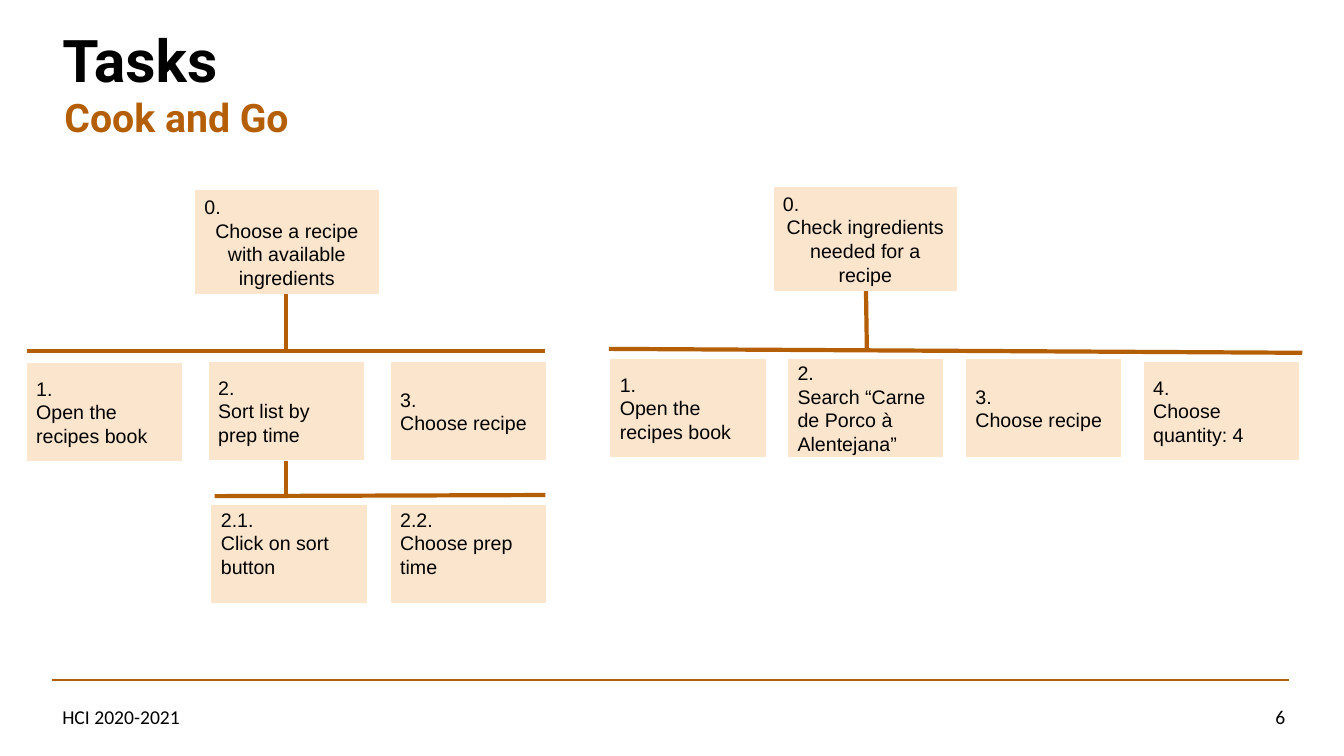
from dataclasses import dataclass

from lxml.etree import SubElement
from pptx import Presentation
from pptx.dml.color import RGBColor
from pptx.enum.shapes import MSO_CONNECTOR, MSO_SHAPE
from pptx.enum.text import MSO_ANCHOR, PP_ALIGN
from pptx.oxml.ns import qn
from pptx.util import Pt

TITLE, SUBTITLE = "Tasks", "Cook and Go"
FOOTER, PAGE = "HCI 2020-2021", "6"

# Roots: left, top, number, lines of the goal
ROOTS = [
    (139, 135.4, "0.", ["Choose a recipe with available", "ingredients"]),
    (552.2, 133.2, "0.", ["Check ingredients needed for a recipe"]),
]
# Rows of steps: left, pitch, steps as (top, number, action)
STEP_ROWS = [
    (18.7, 130, [
        (259.2, "1.", "Open the recipes book"),
        (258.4, "2.", "Sort list by prep time"),
        (258.4, "3.", "Choose recipe"),
    ]),
    (435.6, 127, [
        (256.3, "1.", "Open the recipes book"),
        (256.3, "2.", "Search “Carne de Porco à Alentejana”"),
        (256.3, "3.", "Choose recipe"),
        (258.4, "4.", "Choose quantity: 4"),
    ]),
]
SUBSTEPS = (150.7, 128, [
    (360.7, "2.1.", "Click on sort button"),
    (360.7, "2.2.", "Choose prep time"),
])
# Branches: x1, y1, x2, y2
BRANCHES = [
    (204.5, 329, 204.5, 355),
    (153.4, 354.4, 389.5, 353.6),
    (19.4, 250.6, 389.5, 250.6),
    (204.5, 210.2, 204.5, 250.6),
    (618.6, 208, 619.2, 250),
    (434.9, 249.2, 930.2, 252),
]
ROOT_SIZE, STEP_SIZE = (131.8, 74.9), (111.6, 70.4)


@dataclass(frozen=True)
class Theme:
    accent: RGBColor = RGBColor(0xB4, 0x5F, 0x06)
    box: RGBColor = RGBColor(0xFC, 0xE5, 0xCD)
    ink: RGBColor = RGBColor(0, 0, 0)
    paper: RGBColor = RGBColor(0xFF, 0xFF, 0xFF)
    heading: str = "Roboto"
    body: str = "Arial"
    small: str = "Calibri"
    title_size: int = 42
    subtitle_size: int = 28
    text_size: int = 14


THEME = Theme()


def set_font(paragraph, name, size, color, bold=False):
    font = paragraph.font
    font.name, font.size, font.bold = name, Pt(size), bold
    font.color.rgb = color


def set_insets(frame, left, top, right, bottom):
    frame.margin_left, frame.margin_top = Pt(left), Pt(top)
    frame.margin_right, frame.margin_bottom = Pt(right), Pt(bottom)


def add_label(slide, area, text, font, insets=(7.2, 3.6, 7.2, 3.6),
              anchor=MSO_ANCHOR.TOP, align=PP_ALIGN.LEFT):
    """Add a one-line text box and return its paragraph."""
    frame = slide.shapes.add_textbox(*map(Pt, area)).text_frame
    frame.word_wrap = True
    frame.vertical_anchor = anchor
    set_insets(frame, *insets)
    line = frame.paragraphs[0]
    line.text, line.alignment = text, align
    set_font(line, *font)
    return line


def add_task(slide, area, number, action, align=PP_ALIGN.LEFT,
             anchor=MSO_ANCHOR.MIDDLE, top_inset=7.2):
    """Add a task box: its number, then the lines of its action."""
    task = slide.shapes.add_shape(MSO_SHAPE.RECTANGLE, *map(Pt, area))
    task.shadow.inherit = False
    task.fill.solid()
    task.fill.fore_color.rgb = THEME.box
    task.line.color.rgb = THEME.paper
    task.line.width = Pt(0.75)
    frame = task.text_frame
    frame.word_wrap = True
    frame.vertical_anchor = anchor
    set_insets(frame, 7.2, top_inset, 7.2, 7.2)
    frame.text = "\n".join([number, *action])
    for index, line in enumerate(frame.paragraphs):
        line.alignment = align if index else PP_ALIGN.LEFT
        set_font(line, THEME.body, THEME.text_size, THEME.ink)


def add_steps(slide, row, **layout):
    left, pitch, steps = row
    for column, (top, number, action) in enumerate(steps):
        area = (left + column * pitch, top, *STEP_SIZE)
        add_task(slide, area, number, [action], **layout)


def add_rule(slide, ends, width):
    rule = slide.shapes.add_connector(MSO_CONNECTOR.STRAIGHT, *map(Pt, ends))
    rule.line.color.rgb = THEME.accent
    rule.line.width = Pt(width)
    SubElement(rule._element.spPr, qn("a:effectLst"))


def main():
    deck = Presentation()
    deck.slide_width, deck.slide_height = Pt(960), Pt(540)
    slide = deck.slides.add_slide(deck.slide_layouts[6])

    title = add_label(
        slide, (37.4, 26.6, 884.2, 43.2), TITLE,
        (THEME.heading, THEME.title_size, THEME.ink, True),
        anchor=MSO_ANCHOR.BOTTOM)
    title.line_spacing = 0.7
    add_label(slide, (46.1, 67, 876.2, 33.8), SUBTITLE,
              (THEME.heading, THEME.subtitle_size, THEME.accent, True),
              insets=(0, 0, 0, 0))
    small = (THEME.small, THEME.text_size, THEME.ink)
    add_label(slide, (37.4, 499.7, 260.6, 24.5), FOOTER, small)
    add_label(slide, (867.6, 499.7, 57.6, 24.5), PAGE, small,
              align=PP_ALIGN.RIGHT)
    add_rule(slide, (37.4, 486, 920.9, 486), 1.5)

    for left, top, number, goal in ROOTS:
        add_task(slide, (left, top, *ROOT_SIZE), number, goal,
                 align=PP_ALIGN.CENTER)
    for row in STEP_ROWS:
        add_steps(slide, row)
    add_steps(slide, SUBSTEPS, anchor=MSO_ANCHOR.TOP, top_inset=2)
    for ends in BRANCHES:
        add_rule(slide, ends, 3)

    deck.save("out.pptx")


if __name__ == "__main__":
    main()
